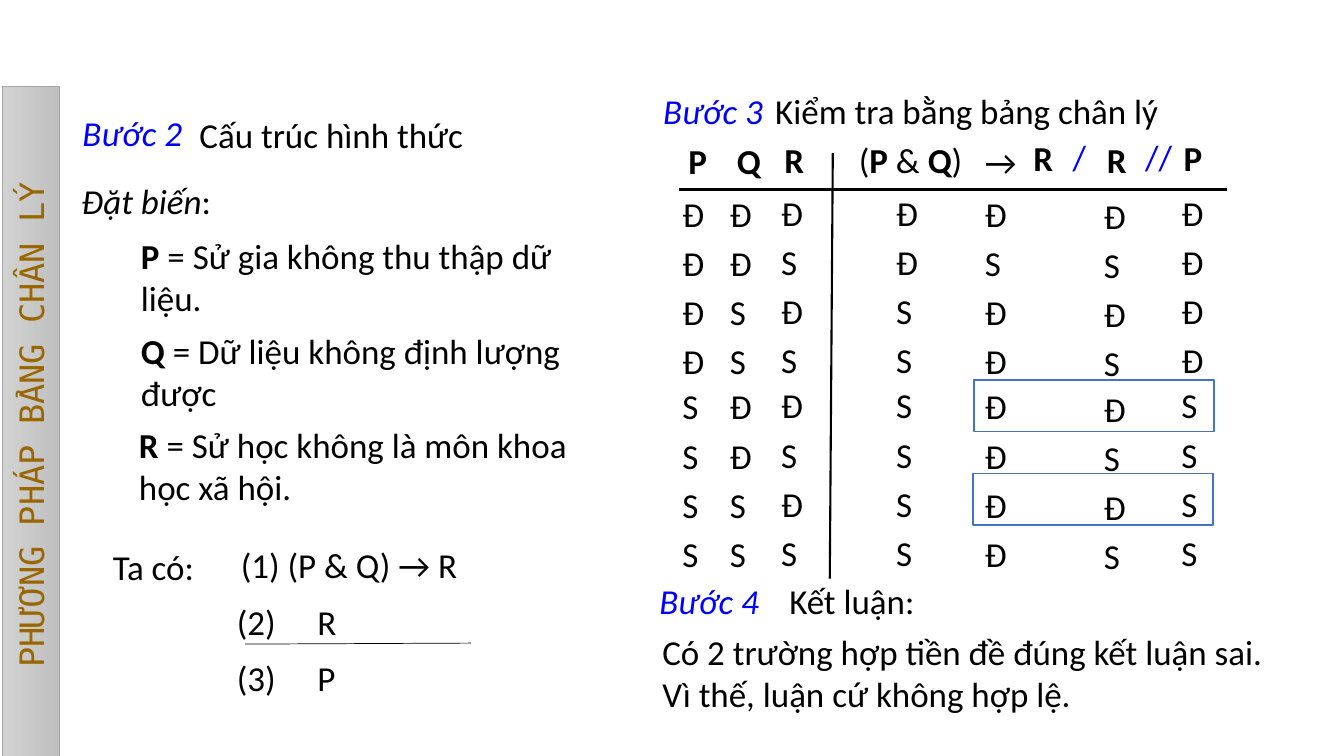
"""Build a slide that tests an argument with the truth table method."""
from dataclasses import dataclass

import lxml.etree
import pptx
import pptx.dml.color
import pptx.enum.dml
import pptx.enum.shapes
import pptx.enum.text
import pptx.oxml.ns
import pptx.shapes.autoshape
import pptx.slide
import pptx.text.text
import pptx.util

BLACK = pptx.dml.color.RGBColor(0x00, 0x00, 0x00)
BLUE = pptx.dml.color.RGBColor(0x00, 0x00, 0xFF)
WHITE = pptx.dml.color.RGBColor(0xFF, 0xFF, 0xFF)
FRAME_BLUE = pptx.dml.color.RGBColor(0x44, 0x72, 0xC4)
BROWN = pptx.dml.color.RGBColor(0x99, 0x66, 0x00)
LIGHT_GRAY = pptx.dml.color.RGBColor(0xD2, 0xD2, 0xD2)
MIDDLE_GRAY = pptx.dml.color.RGBColor(0xC0, 0xC0, 0xC0)
EDGE_GRAY = pptx.dml.color.RGBColor(0xA5, 0xA5, 0xA5)

GRID_COLUMNS, GRID_ROWS = 133.3, 75
CELL = pptx.util.Inches(0.1)
BODY_FONT, TITLE_FONT = "Calibri", "DejaVu Sans Mono"
BODY_SIZE, TITLE_SIZE = 25, 24
LINE_HEIGHT, TWO_LINES, SPACED_HEIGHT = 5.2, 9.4, 6.1
ROW_STEP, HALF_STEP, HALF_ROWS = 4.87, 19.1, 4
LETTER_WIDTHS = {"Đ": 4.2, "S": 3.6}


@dataclass(frozen=True)
class Run:
    text: str
    bold: bool = False
    italic: bool = False
    color: pptx.dml.color.RGBColor = BLACK


@dataclass(frozen=True)
class Label:
    column: float
    row: float
    width: float
    runs: tuple[Run, ...]
    height: float = LINE_HEIGHT
    wrap: bool = False
    spaced: bool = False


@dataclass(frozen=True)
class TruthColumn:
    column: float
    row: float
    values: str


@dataclass(frozen=True)
class Rule:
    start: tuple[float, float]
    end: tuple[float, float]
    weight: float


def step(number: int) -> tuple[Run, ...]:
    return (Run(f"Bước {number}", italic=True, color=BLUE),)


def plain(text: str) -> tuple[Run, ...]:
    return (Run(text),)


def bold(text: str) -> tuple[Run, ...]:
    return (Run(text, bold=True),)


def blue(text: str) -> tuple[Run, ...]:
    return (Run(text, color=BLUE),)


LABELS = (
    Label(7.2, 10.6, 15.4, step(2), wrap=True),
    Label(18.8, 10.8, 44.1, plain("Cấu trúc hình thức"), wrap=True),
    Label(7.1, 17.3, 19.5, (Run("Đặt biến", italic=True), Run(":")), wrap=True),
    Label(13, 22.8, 46.7, bold("P") + plain(" = Sử gia không thu thập dữ liệu."), TWO_LINES, True),
    Label(13, 32.2, 46.8, bold("Q") + plain(" = Dữ liệu không định lượng được"), TWO_LINES, True),
    Label(12.8, 41.5, 46.8, bold("R") + plain(" = Sử học không là môn khoa học xã hội."), TWO_LINES, True),
    Label(8.2, 52.8, 12.9, plain("Ta có:"), SPACED_HEIGHT, spaced=True),
    Label(20.9, 52.6, 28.3, plain("(1) (P & Q) → R"), SPACED_HEIGHT, spaced=True),
    Label(20.5, 58.3, 34.5, plain("(2)\tR"), SPACED_HEIGHT, True, True),
    Label(20.5, 63.8, 34.5, plain("(3)\tP"), SPACED_HEIGHT, True, True),
    Label(64.8, 8.4, 12, step(3)),
    Label(75.9, 8.4, 46.1, plain("Kiểm tra bằng bảng chân lý"), wrap=True),
    Label(67.3, 13.3, 4.2, bold("P")),
    Label(72.1, 13.3, 4.9, bold("Q")),
    Label(76.8, 13.2, 4.5, bold("R")),
    Label(84.2, 13.2, 14.1, plain("(") + bold("P ") + plain("&") + bold(" Q") + plain(")")),
    Label(96.7, 13.4, 5.2, plain("→")),
    Label(101.5, 13, 4.5, bold("R")),
    Label(105.4, 12.9, 3.1, blue("/")),
    Label(108.8, 13.2, 4.5, bold("R")),
    Label(112.6, 12.9, 4.7, blue("//")),
    Label(116.4, 13, 4.2, bold("P")),
    Label(64.4, 57, 16.9, step(4), wrap=True),
    Label(77.3, 57, 32.5, plain("Kết luận:"), wrap=True),
    Label(64.7, 62.1, 62.1,
          plain("Có 2 trường hợp tiền đề đúng kết luận sai. Vì thế, luận cứ không hợp lệ."),
          TWO_LINES, True),
)
TRUTH_COLUMNS = (
    TruthColumn(66.7, 18.6, "ĐĐĐĐSSSS"),
    TruthColumn(71.4, 18.6, "ĐĐSSĐĐSS"),
    TruthColumn(76.5, 18.5, "ĐSĐSĐSĐS"),
    TruthColumn(87.9, 18.5, "ĐĐSSSSSS"),
    TruthColumn(96.7, 18.6, "ĐSĐĐĐĐĐĐ"),
    TruthColumn(108.5, 18.8, "ĐSĐSĐSĐS"),
    TruthColumn(116.2, 18.5, "ĐĐĐĐSSSS"),
)
RULES = (
    Rule((67.3, 18.8), (121.7, 18.8), 1.5),
    Rule((82.6, 15.2), (82.3, 57.4), 1.5),
    Rule((24.3, 63.9), (46.7, 63.8), 0.5),
)
COUNTEREXAMPLE_FRAMES = ((96.5, 47), (96.6, 37.7))


def grid(cells: float) -> int:
    return round(cells * CELL)


def add_run(paragraph: pptx.text.text._Paragraph, content: Run, font: str, size: int) -> None:
    run = paragraph.add_run()
    run.text = content.text
    run.font.name = font
    run.font.size = pptx.util.Pt(size)
    run.font.bold = content.bold
    run.font.italic = content.italic
    run.font.color.rgb = content.color


def space_out(paragraph: pptx.text.text._Paragraph) -> None:
    paragraph.alignment = pptx.enum.text.PP_ALIGN.JUSTIFY
    paragraph.line_spacing = 1.2
    properties = paragraph._p.get_or_add_pPr()
    properties.set("marL", "0")
    properties.set("indent", str(grid(2)))
    tabs = lxml.etree.SubElement(properties, pptx.oxml.ns.qn("a:tabLst"))
    lxml.etree.SubElement(tabs, pptx.oxml.ns.qn("a:tab"), pos=str(grid(7.4)), algn="l")


def add_label(slide: pptx.slide.Slide, label: Label) -> None:
    shape = slide.shapes.add_textbox(*map(grid, (label.column, label.row, label.width, label.height)))
    frame = shape.text_frame
    frame.word_wrap = label.wrap
    frame.auto_size = pptx.enum.text.MSO_AUTO_SIZE.SHAPE_TO_FIT_TEXT
    paragraph = frame.paragraphs[0]
    if label.spaced:
        space_out(paragraph)
    for content in label.runs:
        add_run(paragraph, content, BODY_FONT, BODY_SIZE)


def add_truth_column(slide: pptx.slide.Slide, truth: TruthColumn) -> None:
    for index, letter in enumerate(truth.values):
        half, position = divmod(index, HALF_ROWS)
        row = truth.row + half * HALF_STEP + position * ROW_STEP
        add_label(slide, Label(truth.column, row, LETTER_WIDTHS[letter], plain(letter)))


def add_rectangle(slide: pptx.slide.Slide, column: float, row: float, width: float, height: float,
                  edge: pptx.dml.color.RGBColor, weight: float) -> pptx.shapes.autoshape.Shape:
    shape = slide.shapes.add_shape(pptx.enum.shapes.MSO_SHAPE.RECTANGLE,
                                   *map(grid, (column, row, width, height)))
    shape.shadow.inherit = False
    shape.fill.solid()
    shape.fill.fore_color.rgb = WHITE
    shape.line.color.rgb = edge
    shape.line.width = pptx.util.Pt(weight)
    return shape


def add_title_bar(slide: pptx.slide.Slide) -> None:
    bar = add_rectangle(slide, -30.5, 39.3, 67.1, 5.7, EDGE_GRAY, 0.5)
    bar.rotation = 270
    bar.fill.gradient()
    bar.fill.gradient_angle = 270
    for stop, color in zip(bar.fill.gradient_stops, (LIGHT_GRAY, MIDDLE_GRAY)):
        stop.color.rgb = color
    bar.text_frame.vertical_anchor = pptx.enum.text.MSO_ANCHOR.MIDDLE
    paragraph = bar.text_frame.paragraphs[0]
    paragraph.alignment = pptx.enum.text.PP_ALIGN.CENTER
    add_run(paragraph, Run("PHƯƠNG PHÁP BẢNG CHÂN LÝ", color=BROWN), TITLE_FONT, TITLE_SIZE)


def add_rule(slide: pptx.slide.Slide, rule: Rule) -> None:
    line = slide.shapes.add_connector(pptx.enum.shapes.MSO_CONNECTOR.STRAIGHT,
                                      *map(grid, rule.start + rule.end))
    line.line.color.rgb = BLACK
    line.line.width = pptx.util.Pt(rule.weight)
    lxml.etree.SubElement(line._element.spPr, pptx.oxml.ns.qn("a:effectLst"))


def main() -> None:
    presentation = pptx.Presentation()
    presentation.slide_width = grid(GRID_COLUMNS)
    presentation.slide_height = grid(GRID_ROWS)
    slide = presentation.slides.add_slide(presentation.slide_layouts[6])
    add_title_bar(slide)
    for column, row in COUNTEREXAMPLE_FRAMES:
        add_rectangle(slide, column, row, 23.8, 5.1, FRAME_BLUE, 1)
    for label in LABELS:
        add_label(slide, label)
    for truth in TRUTH_COLUMNS:
        add_truth_column(slide, truth)
    for rule in RULES:
        add_rule(slide, rule)
    presentation.save("out.pptx")


if __name__ == "__main__":
    main()
